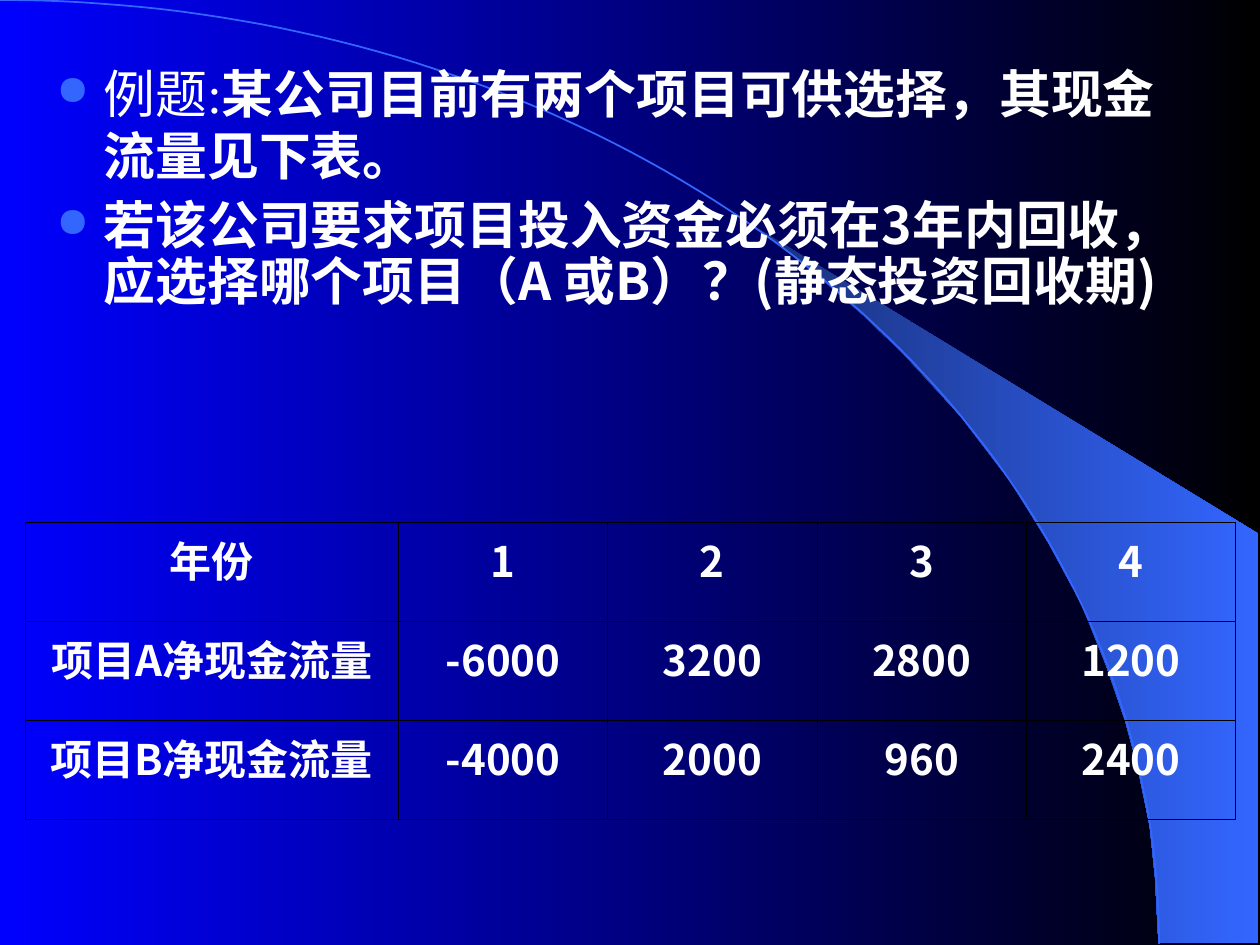
from math import cos, pi, sin

from lxml import etree
from pptx import Presentation
from pptx.dml.color import RGBColor
from pptx.enum.text import PP_ALIGN
from pptx.oxml import parse_xml
from pptx.oxml.ns import qn
from pptx.util import Pt

CENTER = PP_ALIGN.CENTER
NS = 'xmlns:a="http://schemas.openxmlformats.org/drawingml/2006/main"'
SANS, SERIF = "Noto Sans CJK SC", "Times New Roman"
BLUE, WHITE, BLACK = "3366FF", "FFFFFF", "000000"
rgb = RGBColor.from_string


def shade(fill, *tones):
    fill.gradient()
    fill.gradient_angle = 0
    for stop, tone in zip(fill.gradient_stops, tones):
        stop.color.rgb = rgb(tone)


def style(run, size, name=SANS, bold=True):
    font = run.font
    font.size, font.name, font.bold = Pt(size), name, bold
    font.color.rgb = rgb(WHITE)
    east = etree.SubElement(run._r.get_or_add_rPr(), qn("a:ea"))
    east.set("typeface", SANS)


deck = Presentation()
deck.slide_width, deck.slide_height = Pt(720), Pt(540)
slide = deck.slides.add_slide(deck.slide_layouts[6])
shapes = slide.shapes
shade(slide.background.fill, "0000FF", BLACK)

# Light beam on the right
beam = [(662.4, 538.6), (719.3, 539.3), (719.3, 304.6), (424.1, 124.6),
        (449.3, 143.3), (470.2, 159.8), (493.2, 180), (515.5, 201.6),
        (548.6, 237.6), (578.2, 276.5), (599, 310.3), (617.8, 344.9),
        (632.2, 380.2), (643, 411.8), (650.2, 438.5), (657.4, 472.3),
        (660.2, 501.1)]
path = shapes.build_freeform(*beam[0], scale=Pt(1))
path.add_line_segments(beam[1:], close=True)
shape = path.convert_to_shape()
shape.shadow.inherit = False
shade(shape.fill, "182F76", BLUE)
shape.line.fill.background()

# Quarter-ellipse arc
wide, high, steps = 662.4, 539.3, 90
turns = [i * pi / 2 / steps for i in range(1, steps + 1)]
path = shapes.build_freeform(0, 0, scale=Pt(1) / 10)
path.add_line_segments(
    [(10 * wide * sin(t), 10 * high * (1 - cos(t))) for t in turns], close=False)
arc = path.convert_to_shape()
arc.shadow.inherit = False
arc.fill.background()
arc.line.color.rgb = rgb(BLUE)
arc.line.width = Pt(1)

# Question text
items = [
    [("例题:", SERIF, False),
     ("某公司目前有两个项目可供选择，其现金流量见下表。", SANS, True)],
    [("若该公司要求项目投入资金必须在3年内回收，应选择哪个项目（A 或B）？(", SANS, True),
     ("静态投资回收期", SERIF, True), (")", SANS, True)],
]
frame = shapes.add_textbox(Pt(25.2), Pt(31.7), Pt(657.4), Pt(198.7)).text_frame
frame.word_wrap = True
for i, parts in enumerate(items):
    para = frame.add_paragraph() if i else frame.paragraphs[0]
    props = para._p.get_or_add_pPr()
    props.set("marL", str(Pt(27)))
    props.set("indent", str(-Pt(27)))
    for xml in (f'<a:buClr {NS}><a:srgbClr val="{BLUE}"/></a:buClr>',
                f'<a:buSzPct {NS} val="80000"/>',
                f'<a:buChar {NS} char="●"/>'):
        props.append(parse_xml(xml))
    if i:
        para.space_before = Pt(8)
        para.line_spacing = 0.9
    for text, name, bold in parts:
        run = para.add_run()
        run.text = text
        style(run, 29.6, name, bold)

# Cash flow table
rows = [
    ["年份", "1", "2", "3", "4"],
    ["项目A净现金流量", "-6000", "3200", "2800", "1200"],
    ["项目B净现金流量", "-4000", "2000", "960", "2400"],
]
table = shapes.add_table(3, 5, Pt(14.2), Pt(298.3), Pt(691.9), Pt(170.1)).table
table.first_row = table.horz_banding = False
for i, col in enumerate(table.columns):
    col.width = Pt(119.6 if i else 213.5)
for row, texts in zip(table.rows, rows):
    row.height = Pt(56.7)
    for cell, text in zip(row.cells, texts):
        cell.margin_left = cell.margin_right = Pt(5.76)
        cell.margin_top = cell.margin_bottom = Pt(3.6)
        props = cell._tc.get_or_add_tcPr()
        for side in "LRTB":
            props.append(parse_xml(
                f'<a:ln{side} {NS} w="{Pt(0.45)}"><a:solidFill>'
                f'<a:srgbClr val="{BLACK}"/></a:solidFill></a:ln{side}>'))
        cell.fill.background()
        cell.text_frame.text = text
        para = cell.text_frame.paragraphs[0]
        para.alignment = CENTER
        style(para.runs[0], 24)

deck.save("out.pptx")
